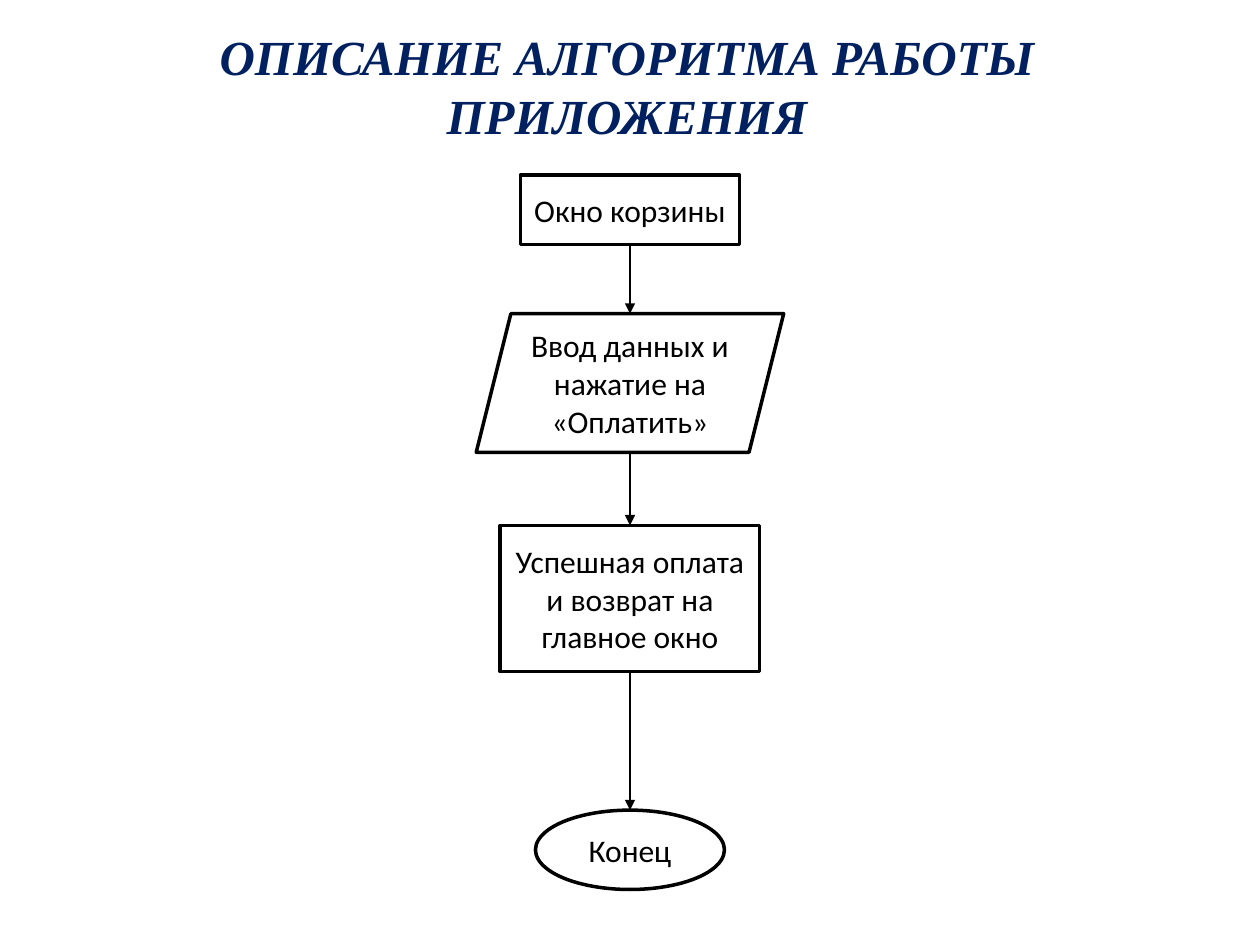
import pptx
import pptx.util
import pptx.dml.color
import pptx.enum.shapes
import pptx.enum.text
import pptx.oxml.ns
import lxml.etree
from dataclasses import dataclass

Inches = pptx.util.Inches
Shape = pptx.enum.shapes.MSO_SHAPE
TOP, BOTTOM = 0, 2
CENTER_X = 5


@dataclass(frozen=True)
class Theme:
    title_color: str = "002060"
    ink: str = "000000"
    paper: str = "FFFFFF"
    title_font: str = "Times New Roman"
    body_font: str = "Calibri"
    title_size: int = 28
    body_size: int = 18
    outline: float = 2
    arrow: float = 0.75


class Flowchart:
    def __init__(self, slide, theme):
        self.slide = slide
        self.theme = theme

    def color(self, value):
        return pptx.dml.color.RGBColor.from_string(value)

    def set_text(self, shape, text, font_name, size, color, emphasis=False):
        frame = shape.text_frame
        frame.text = text
        frame.word_wrap = True
        frame.vertical_anchor = pptx.enum.text.MSO_ANCHOR.MIDDLE
        for paragraph in frame.paragraphs:
            paragraph.alignment = pptx.enum.text.PP_ALIGN.CENTER
            for run in paragraph.runs:
                run.font.name = font_name
                run.font.size = pptx.util.Pt(size)
                run.font.bold = run.font.italic = emphasis
                run.font.color.rgb = self.color(color)

    def title(self, text, left, top, width, height):
        box = self.slide.shapes.add_textbox(
            Inches(left), Inches(top), Inches(width), Inches(height))
        self.set_text(box, text, self.theme.title_font, self.theme.title_size,
                      self.theme.title_color, emphasis=True)

    def step(self, kind, text, top, width, height):
        shape = self.slide.shapes.add_shape(
            kind, Inches(CENTER_X - width / 2), Inches(top),
            Inches(width), Inches(height))
        shape.shadow.inherit = False
        shape.fill.solid()
        shape.fill.fore_color.rgb = self.color(self.theme.paper)
        shape.line.color.rgb = self.color(self.theme.ink)
        shape.line.width = pptx.util.Pt(self.theme.outline)
        self.set_text(shape, text, self.theme.body_font, self.theme.body_size,
                      self.theme.ink)
        return shape

    def arrow(self, upper, lower):
        connector = self.slide.shapes.add_connector(
            pptx.enum.shapes.MSO_CONNECTOR.STRAIGHT,
            Inches(CENTER_X), upper.top + upper.height,
            Inches(CENTER_X), lower.top)
        if upper.auto_shape_type == Shape.RECTANGLE:
            connector.begin_connect(upper, BOTTOM)
        if lower.auto_shape_type == Shape.RECTANGLE:
            connector.end_connect(lower, TOP)
        connector.line.color.rgb = self.color(self.theme.ink)
        connector.line.width = pptx.util.Pt(self.theme.arrow)
        qualify = pptx.oxml.ns.qn
        properties = connector.line._get_or_add_ln()
        lxml.etree.SubElement(properties, qualify("a:tailEnd"), type="triangle")
        lxml.etree.SubElement(properties.getparent(), qualify("a:effectLst"))


def main():
    presentation = pptx.Presentation()
    presentation.slide_width = Inches(10)
    presentation.slide_height = Inches(7.5)
    slide = presentation.slides.add_slide(presentation.slide_layouts[6])
    chart = Flowchart(slide, Theme())

    chart.title("ОПИСАНИЕ АЛГОРИТМА РАБОТЫ ПРИЛОЖЕНИЯ", 0.28, 0.13, 9.39, 1.1)
    steps = [
        chart.step(kind, text, top, width, height)
        for kind, text, top, width, height in (
            (Shape.RECTANGLE, "Окно корзины", 1.39, 1.74, 0.55),
            (Shape.PARALLELOGRAM, "Ввод данных и нажатие на «Оплатить»",
             2.49, 2.44, 1.1),
            (Shape.RECTANGLE, "Успешная оплата и возврат на главное окно",
             4.17, 2.06, 1.16),
            (Shape.OVAL, "Конец", 6.43, 1.5, 0.63),
        )
    ]
    for upper, lower in zip(steps, steps[1:]):
        chart.arrow(upper, lower)

    presentation.save("out.pptx")


if __name__ == "__main__":
    main()
